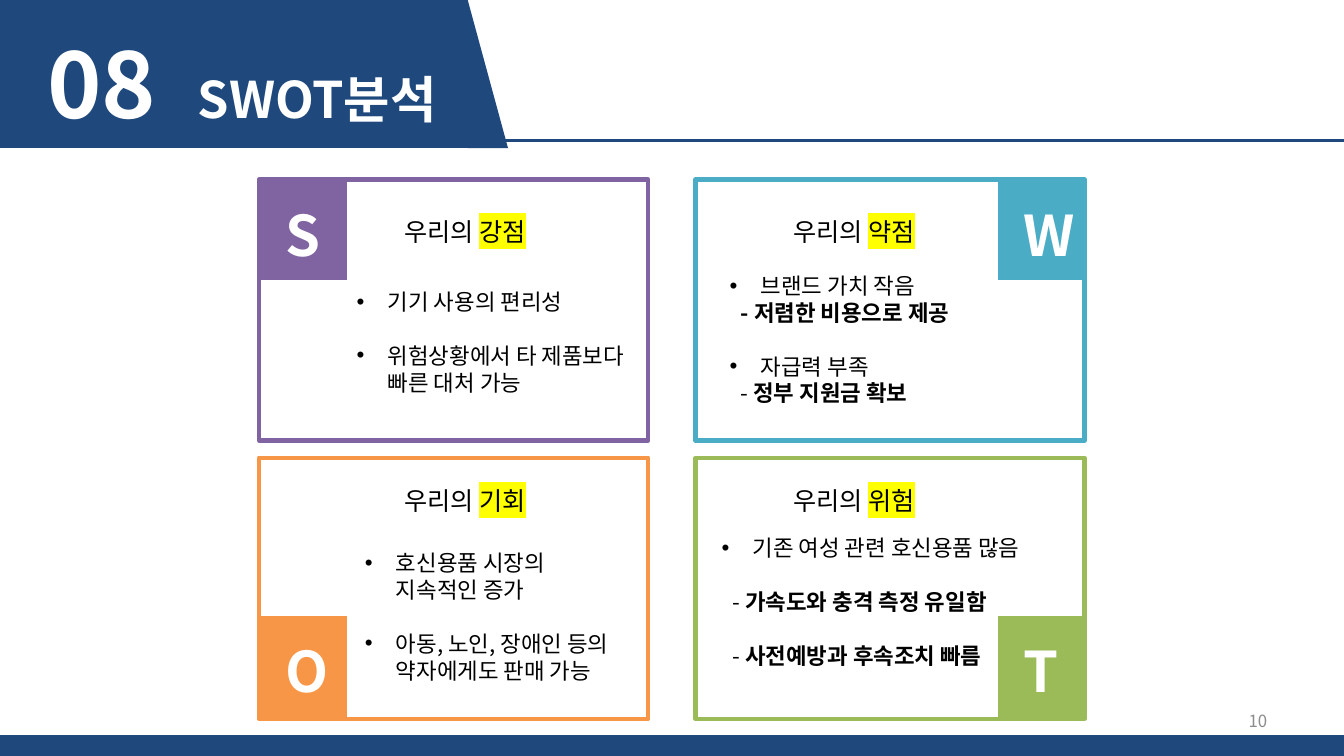
from dataclasses import dataclass
from typing import NamedTuple, Optional

from lxml.etree import SubElement
from pptx import Presentation
from pptx.dml.color import RGBColor
from pptx.enum.shapes import MSO_CONNECTOR as Connector, MSO_SHAPE as Shape
from pptx.enum.text import MSO_ANCHOR as Anchor, MSO_AUTO_SIZE as AutoSize, PP_ALIGN as Align
from pptx.oxml.ns import qn
from pptx.util import Emu, Inches, Pt


@dataclass(frozen=True)
class Theme:
    font: str = "Noto Sans CJK KR"
    navy: str = "1F497D"
    white: str = "FFFFFF"
    black: str = "000000"
    gray: str = "8C8C8C"
    marker: str = "FFFF00"
    number_size: float = 66
    title_size: float = 36
    letter_size: float = 40
    heading_size: float = 18
    body_size: float = 16
    page_size: float = 12
    line_gap: float = 19.2


class Box(NamedTuple):
    """Left, top, width and height in grid units."""
    left: float
    top: float
    width: float
    height: float


class Run(NamedTuple):
    text: str
    bold: bool = False
    size: Optional[float] = None
    highlight: Optional[str] = None


class Line(NamedTuple):
    runs: list[Run]
    bullet: bool = False
    indent: float = 0
    gap: bool = False


class Quadrant(NamedTuple):
    letter: str
    column: int
    row: int
    color: str
    keyword: str
    body: Box
    lines: list[Line]


THEME = Theme()
# The grid has ten columns and ten rows to the inch
UNIT = Inches(0.1)
COLUMNS, ROWS = 133.33, 75
CARD = Box(25.7, 17.8, 38.6, 25.9)
CARD_STEP = (43.3, 27.6)
TAB = Box(25.7, 17.8, 8.7, 10)
TAB_STEP = (73.3, 43.3)
LETTER_INSET = 1.6
HEADING = Box(39.1, 21, 14.2, 4)
HEADING_STEP = (38.6, 26.7)
BULLET_INDENT, DASH_INDENT = 3.1, 1.1


def grid(value: float) -> Emu:
    return Emu(round(value * UNIT))


def place(box: Box) -> list[Emu]:
    return [grid(value) for value in box]


def offset(box: Box, step: tuple[float, float], column: int, row: int) -> Box:
    return box._replace(left=box.left + step[0] * column, top=box.top + step[1] * row)


def bullet(text: str, gap: bool = False) -> Line:
    return Line([Run(text)], bullet=True, indent=BULLET_INDENT, gap=gap)


def dash(text: str, gap: bool = False, bold_dash: bool = False) -> Line:
    return Line([Run("- ", bold_dash), Run(text, True)], indent=DASH_INDENT, gap=gap)


def write_run(paragraph, run: Run, size: float, color: str) -> None:
    item = paragraph.add_run()
    item.text = run.text
    font = item.font
    font.size, font.bold, font.name = Pt(run.size or size), run.bold, THEME.font
    font.color.rgb = RGBColor.from_string(color)
    properties = font._element
    SubElement(properties, qn("a:ea")).set("typeface", THEME.font)
    if run.highlight:
        highlight = SubElement(properties, qn("a:highlight"))
        SubElement(highlight, qn("a:srgbClr")).set("val", run.highlight)
        properties.find(qn("a:solidFill")).addnext(highlight)


def write_text(shape, lines: list[Line], *, size: float, color: str = THEME.black,
               align=Align.LEFT, anchor=Anchor.TOP, wrap: bool = True,
               tab: Optional[float] = None) -> None:
    frame = shape.text_frame
    frame.word_wrap, frame.auto_size, frame.vertical_anchor = wrap, AutoSize.NONE, anchor
    for index, line in enumerate(lines):
        paragraph = frame.add_paragraph() if index else frame.paragraphs[0]
        paragraph.alignment = align
        if line.gap:
            paragraph.space_before = Pt(THEME.line_gap)
        properties = paragraph._p.get_or_add_pPr()
        if line.indent:
            properties.set("marL", str(grid(line.indent)))
        if line.bullet:
            properties.set("indent", str(-grid(line.indent)))
            SubElement(properties, qn("a:buFont")).set("typeface", "Arial")
            SubElement(properties, qn("a:buChar")).set("char", "•")
        if tab:
            stop = SubElement(SubElement(properties, qn("a:tabLst")), qn("a:tab"))
            stop.set("pos", str(grid(tab)))
            stop.set("algn", "l")
        for run in line.runs:
            write_run(paragraph, run, size, color)


def add_text(slide, box: Box, lines: list[Line], **text_format) -> None:
    write_text(slide.shapes.add_textbox(*place(box)), lines, **text_format)


def add_block(slide, box: Box, *, fill: Optional[str] = None, line: Optional[str] = None,
              kind=Shape.FLOWCHART_PROCESS):
    shape = slide.shapes.add_shape(kind, *place(box))
    shape.shadow.inherit = False
    if fill:
        shape.fill.solid()
        shape.fill.fore_color.rgb = RGBColor.from_string(fill)
    else:
        shape.fill.background()
    if line:
        shape.line.color.rgb = RGBColor.from_string(line)
        shape.line.width = Pt(3)
    else:
        shape.line.fill.background()
    return shape


def add_header(slide) -> None:
    add_block(slide, Box(0, 0, 46.4, 14.7), fill=THEME.navy)
    slope = add_block(slide, Box(46.4, 0, 4, 14.7), fill=THEME.navy, kind=Shape.ISOSCELES_TRIANGLE)
    slope.adjustments[0] = 0
    rule = slide.shapes.add_connector(Connector.STRAIGHT, grid(35.2), grid(13.9),
                                      grid(COLUMNS), grid(13.9))
    rule.line.color.rgb = RGBColor.from_string(THEME.navy)
    rule.line.width = Pt(2.25)
    SubElement(rule._element.spPr, qn("a:effectLst"))
    # The title stands in front of the banner
    title = slide.shapes.title
    title.left, title.top, title.width, title.height = place(Box(3.7, 2.1, 65.4, 12.1))
    write_text(title, [Line([Run("08\t", True, THEME.number_size), Run("SWOT분석", True)])],
               size=THEME.title_size, color=THEME.white, tab=14.9)
    slide.shapes._spTree.append(title._element)


def add_footer(slide) -> None:
    add_block(slide, Box(0, 72.9, COLUMNS, 2.1), fill=THEME.navy)
    add_text(slide, Box(95.6, 69.5, 31.1, 4), [Line([Run("10")])], size=THEME.page_size,
             color=THEME.gray, align=Align.RIGHT, anchor=Anchor.MIDDLE)


def add_quadrant(slide, quadrant: Quadrant) -> None:
    cell = quadrant.column, quadrant.row
    tab = offset(TAB, TAB_STEP, *cell)
    add_block(slide, tab, fill=quadrant.color)
    add_block(slide, offset(CARD, CARD_STEP, *cell), line=quadrant.color)
    letter = Box(tab.left + LETTER_INSET, tab.top + LETTER_INSET, tab.width, 7.7)
    add_text(slide, letter, [Line([Run(quadrant.letter, True)])],
             size=THEME.letter_size, color=THEME.white, wrap=False)
    heading = Line([Run("우리의 "), Run(quadrant.keyword, highlight=THEME.marker)])
    add_text(slide, offset(HEADING, HEADING_STEP, *cell), [heading],
             size=THEME.heading_size, wrap=False)
    add_text(slide, quadrant.body, quadrant.lines, size=THEME.body_size)


QUADRANTS = [
    Quadrant("S", 0, 0, "8064A2", "강점", Box(34.4, 28.1, 29.1, 11.8), [
        bullet("기기 사용의 편리성"),
        bullet("위험상황에서 타 제품보다 빠른 대처 가능", gap=True)]),
    Quadrant("W", 1, 0, "4BACC6", "약점", Box(71.4, 26.5, 29.1, 17.2), [
        bullet("브랜드 가치 작음"), dash("저렴한 비용으로 제공", bold_dash=True),
        bullet("자급력 부족", gap=True), dash("정부 지원금 확보")]),
    Quadrant("O", 0, 1, "F79646", "기회", Box(35.2, 54, 26.8, 14.5), [
        bullet("호신용품 시장의"), Line([Run("지속적인 증가")], indent=BULLET_INDENT),
        bullet("아동, 노인, 장애인 등의 약자에게도 판매 가능", gap=True)]),
    Quadrant("T", 1, 1, "9BBB59", "위험", Box(70.6, 52.5, 33.9, 14.5), [
        bullet("기존 여성 관련 호신용품 많음"), dash("가속도와 충격 측정 유일함", gap=True),
        dash("사전예방과 후속조치 빠름", gap=True)]),
]


def main() -> None:
    presentation = Presentation()
    presentation.slide_width, presentation.slide_height = grid(COLUMNS), grid(ROWS)
    slide = presentation.slides.add_slide(presentation.slide_layouts[5])
    add_header(slide)
    add_footer(slide)
    for quadrant in QUADRANTS:
        add_quadrant(slide, quadrant)
    presentation.save("out.pptx")


if __name__ == "__main__":
    main()
